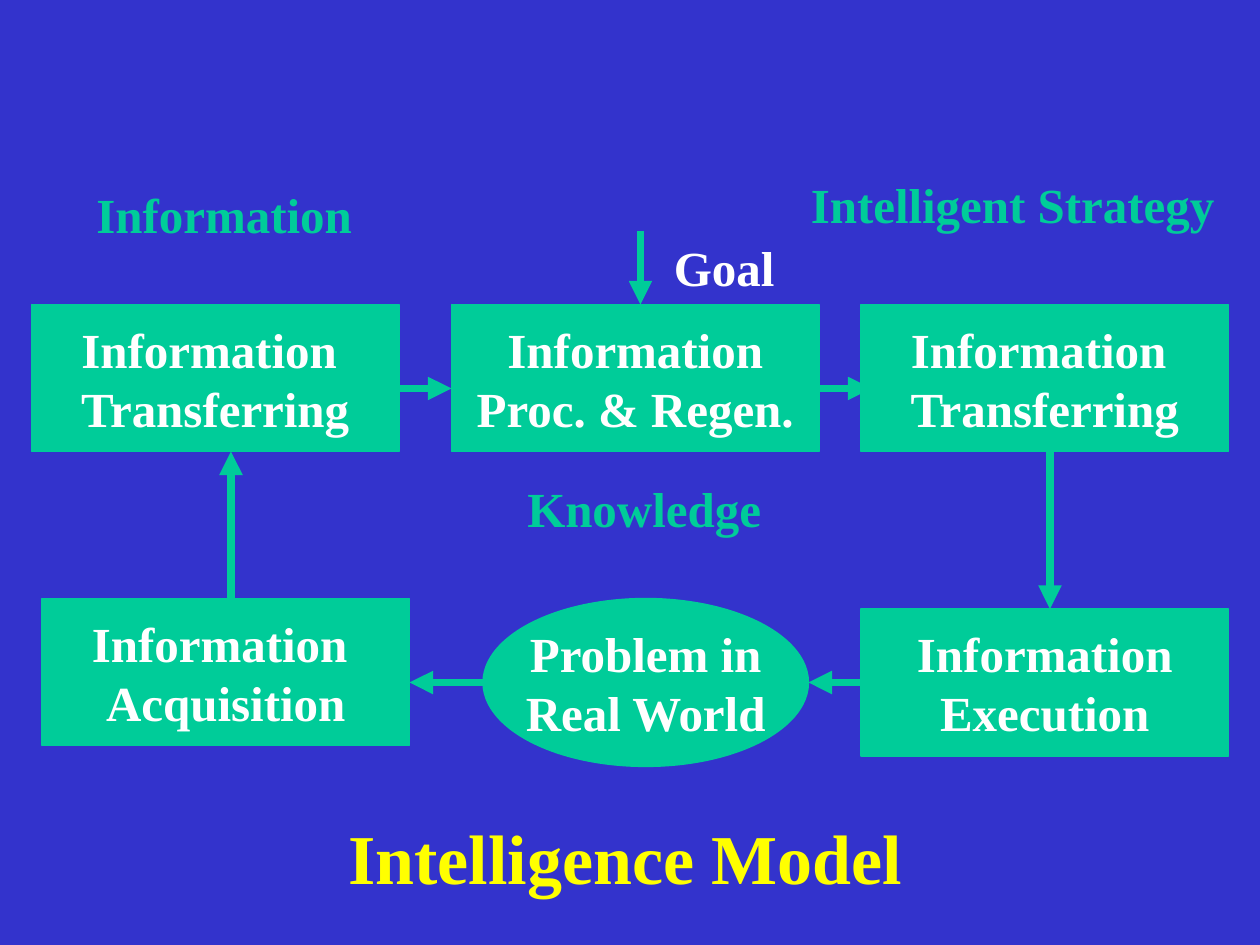
from pptx import Presentation
from pptx.dml.color import RGBColor
from pptx.enum.shapes import MSO_CONNECTOR, MSO_SHAPE
from pptx.enum.text import MSO_ANCHOR, MSO_AUTO_SIZE, PP_ALIGN
from pptx.oxml.ns import qn
from pptx.util import Pt
from lxml import etree

RECT, OVAL = MSO_SHAPE.RECTANGLE, MSO_SHAPE.OVAL
STRAIGHT = MSO_CONNECTOR.STRAIGHT
TOP, MIDDLE = MSO_ANCHOR.TOP, MSO_ANCHOR.MIDDLE
LEFT, CENTER = PP_ALIGN.LEFT, PP_ALIGN.CENTER
FIXED_SIZE = MSO_AUTO_SIZE.NONE
BLUE, GREEN, WHITE, YELLOW = "3333CC", "00CC99", "FFFFFF", "FFFF00"


def rgb(value):
    return RGBColor.from_string(value)


def write(frame, lines, size, color, align, anchor):
    """Fill a text frame with one bold paragraph per line."""
    frame.word_wrap = False
    frame.auto_size = FIXED_SIZE
    frame.vertical_anchor = anchor
    for number, line in enumerate(lines):
        paragraph = frame.add_paragraph() if number else frame.paragraphs[0]
        paragraph.alignment = align
        run = paragraph.add_run()
        run.text = line
        run.font.name = "Times New Roman"
        run.font.size = Pt(size)
        run.font.bold = True
        run.font.color.rgb = rgb(color)


prs = Presentation()
prs.slide_width, prs.slide_height = Pt(720), Pt(540)
slide = prs.slides.add_slide(prs.slide_layouts[5])
slide.background.fill.solid()
slide.background.fill.fore_color.rgb = rgb(BLUE)

# Stages of the cycle
STAGE = (210, 84)
stages = [
    (RECT, 18, 174, STAGE, ["Information ", "Transferring"]),
    (RECT, 492, 174, STAGE, ["Information ", "Transferring"]),
    (RECT, 258, 174, STAGE, ["Information", "Proc. & Regen."]),
    (RECT, 24, 342, STAGE, ["Information ", "Acquisition"]),
    (OVAL, 276, 342, (186, 96), ["Problem in", "Real World"]),
    (RECT, 492, 348, STAGE, ["Information", "Execution"]),
]
for kind, left, top, (width, height), lines in stages:
    stage = slide.shapes.add_shape(kind, Pt(left), Pt(top), Pt(width), Pt(height))
    stage.shadow.inherit = False
    stage.fill.solid()
    stage.fill.fore_color.rgb = rgb(GREEN)
    stage.line.color.rgb = rgb(GREEN)
    stage.line.width = Pt(0.75)
    write(stage.text_frame, lines, 28, WHITE, CENTER, MIDDLE)
execution = stage

# Flow arrows; the last one leaves the execution stage
flows = [
    (276, 390, 234, 390),
    (132, 342, 132, 258),
    (600, 258, 600, 348),
    (228, 222, 258, 222),
    (468, 222, 498, 222),
    (366, 132, 366, 174),
    (492, 390, 462, 390),
]
for ends in flows:
    arrow = slide.shapes.add_connector(STRAIGHT, *map(Pt, ends))
    arrow.line.color.rgb = rgb(GREEN)
    arrow.line.width = Pt(4.5)
    etree.SubElement(arrow.line._get_or_add_ln(), qn("a:tailEnd"), type="triangle")
    etree.SubElement(arrow._element.spPr, qn("a:effectLst"))
arrow.begin_connect(execution, 1)

# Labels
labels = [
    ("Information", 48, 102, 166, GREEN),
    ("Knowledge", 294.25, 270, 152, GREEN),
    ("Intelligent Strategy", 456.25, 96, 249, GREEN),
    ("Goal", 378, 132, 76, WHITE),
]
for words, left, top, width, color in labels:
    label = slide.shapes.add_textbox(Pt(left), Pt(top), Pt(width), Pt(41))
    write(label.text_frame, [words], 28, color, LEFT, TOP)

title = slide.shapes.title
title.left, title.top, title.width, title.height = map(Pt, (192, 462, 336, 55.5))
write(title.text_frame, ["Intelligence Model"], 40, YELLOW, LEFT, TOP)

prs.save("out.pptx")
